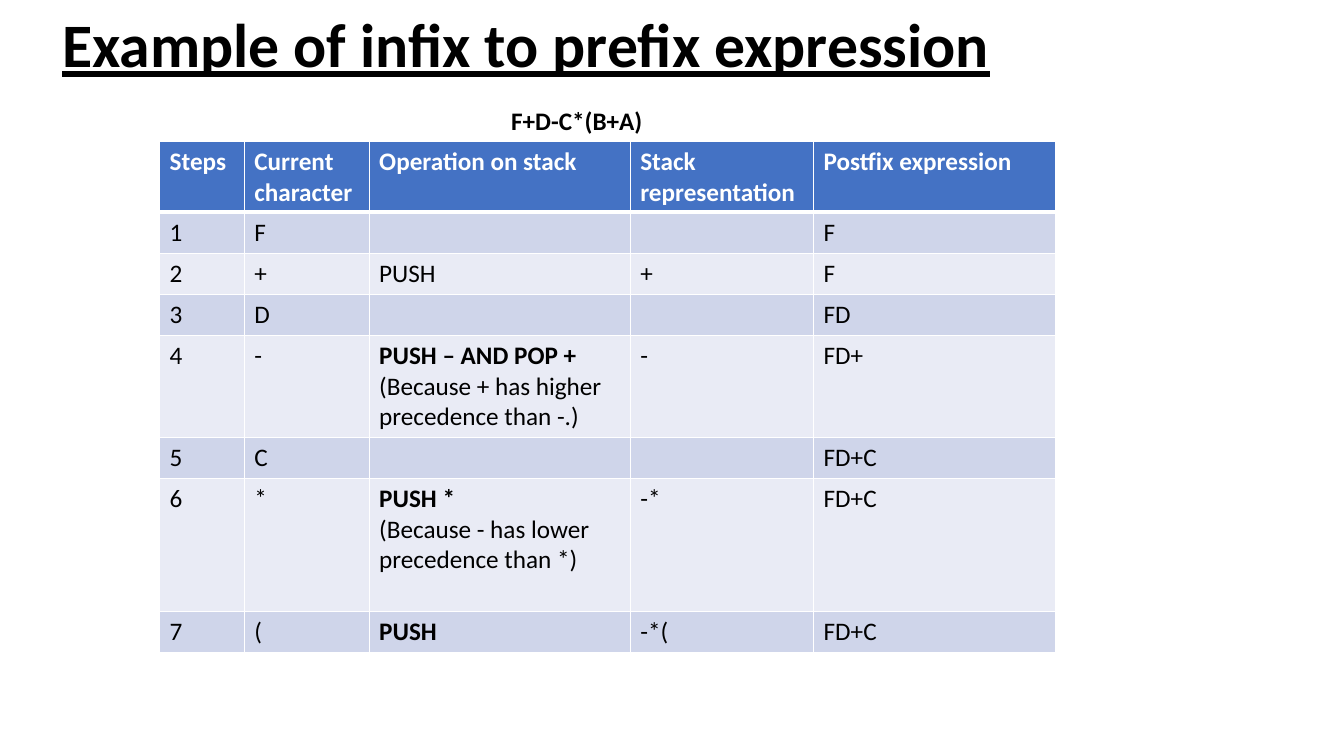
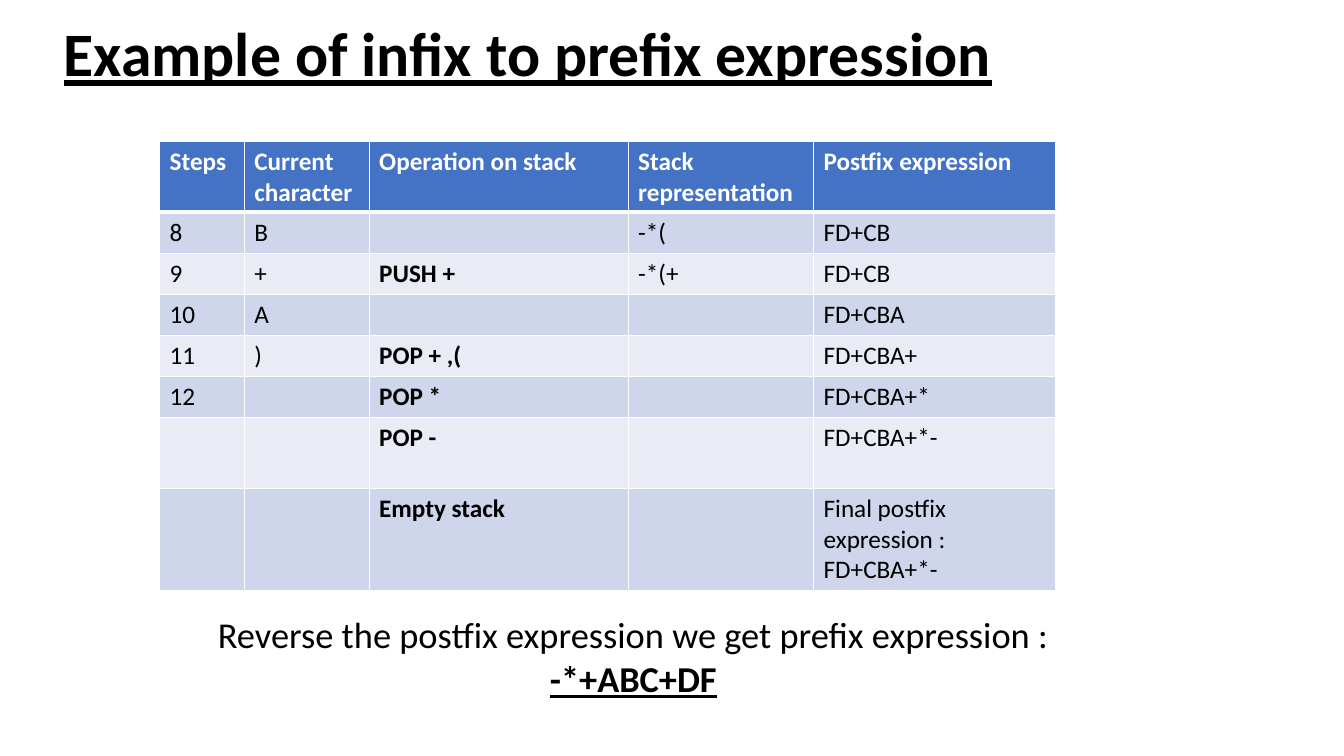
from dataclasses import dataclass

from lxml import etree
from pptx import Presentation
from pptx.dml.color import RGBColor
from pptx.enum.text import MSO_ANCHOR, PP_ALIGN
from pptx.oxml.ns import qn
from pptx.util import Pt

MIDDLE = MSO_ANCHOR.MIDDLE
LEFT, CENTER = PP_ALIGN.LEFT, PP_ALIGN.CENTER


@dataclass(frozen=True)
class Theme:
    font: str = "Calibri"
    ink: str = "000000"
    header_ink: str = "FFFFFF"
    header_fill: str = "4472C4"
    bands: tuple = ("CFD5EA", "E9EBF5")
    rule: str = "FFFFFF"
    title_size: float = 44.1
    closing_size: int = 26
    body_size: int = 18


THEME = Theme()

TITLE = "Example of infix to prefix expression"
HEADINGS = ("Steps", "Current character", "Operation on stack",
            "Stack representation", "Postfix expression")
HEADER_HEIGHT, ROW_HEIGHT = 50.7, 29.3

# Each step: steps, character, operation, stack, postfix.
# An operation given as a tuple has a bold first line.
FIRST_STEPS = (
    ("1", "F", "", "", "F"),
    ("2", "+", "PUSH", "+", "F"),
    ("3", "D", "", "", "FD"),
    ("4", "-", ("PUSH – AND POP +", "(Because + has higher precedence than -.)"),
     "-", "FD+"),
    ("5", "C", "", "", "FD+C"),
    ("6", "*", ("PUSH *", "(Because - has lower precedence than *)"),
     "-*", "FD+C"),
    ("7", "(", ("PUSH",), "-*(", "FD+C"),
)
LAST_STEPS = (
    ("8", "B", "", "-*(", "FD+CB"),
    ("9", "+", ("PUSH +",), "-*(+", "FD+CB"),
    ("10", "A", "", "", "FD+CBA"),
    ("11", ")", ("POP + ,(",), "", "FD+CBA+"),
    ("12", "", ("POP *",), "", "FD+CBA+*"),
    ("", "", ("POP -",), "", "FD+CBA+*-"),
    ("", "", ("Empty stack",), "", "Final postfix expression : FD+CBA+*-"),
)


def write_line(paragraph, text, size, color=THEME.ink, bold=False,
               underline=False, align=LEFT):
    paragraph.text = text
    paragraph.alignment = align
    font = paragraph.font
    font.name, font.size = THEME.font, Pt(size)
    font.bold, font.underline = bold, underline
    font.color.rgb = RGBColor.from_string(color)


def add_text_frame(slide, left, top, width, height):
    frame = slide.shapes.add_textbox(
        Pt(left), Pt(top), Pt(width), Pt(height)).text_frame
    frame.word_wrap = True
    return frame


def add_title(slide, left, top):
    frame = add_text_frame(slide, left, top, 828, 42)
    frame.vertical_anchor = MIDDLE
    heading = frame.paragraphs[0]
    write_line(heading, TITLE, THEME.title_size, bold=True, underline=True)
    heading.line_spacing = 0.9


def set_borders(cell, bottom_width):
    """Draw the four cell edges, which must precede the fill in the XML."""
    properties = cell._tc.get_or_add_tcPr()
    edges = (("L", 1), ("R", 1), ("T", 1), ("B", bottom_width))
    for position, (side, width) in enumerate(edges):
        edge = etree.Element(qn(f"a:ln{side}"), w=str(Pt(width)))
        fill = etree.SubElement(edge, qn("a:solidFill"))
        etree.SubElement(fill, qn("a:srgbClr"), val=THEME.rule)
        properties.insert(position, edge)


def fill_cell(cell, content, fill, color, bold=False, bottom_width=1):
    cell.fill.solid()
    cell.fill.fore_color.rgb = RGBColor.from_string(fill)
    set_borders(cell, bottom_width)
    emphasised = isinstance(content, tuple)
    lines = content if emphasised else (content,)
    frame = cell.text_frame
    for index, line in enumerate(lines):
        paragraph = frame.add_paragraph() if index else frame.paragraphs[0]
        write_line(paragraph, line, THEME.body_size, color,
                   bold or (emphasised and index == 0))


def add_steps_table(slide, steps, column_widths, tall_rows):
    """tall_rows maps a table row number to its own height."""
    heights = [HEADER_HEIGHT] + [tall_rows.get(number, ROW_HEIGHT)
                                 for number in range(1, len(steps) + 1)]
    table = slide.shapes.add_table(
        len(heights), len(HEADINGS), Pt(114), Pt(101),
        Pt(sum(column_widths)), Pt(sum(heights))).table
    for column, width in zip(table.columns, column_widths):
        column.width = Pt(width)
    for row, height in zip(table.rows, heights):
        row.height = Pt(height)

    # Header row
    for cell, heading in zip(table.rows[0].cells, HEADINGS):
        fill_cell(cell, heading, THEME.header_fill, THEME.header_ink,
                  bold=True, bottom_width=3)
    # Banded step rows
    for number, step in enumerate(steps):
        for cell, content in zip(table.rows[number + 1].cells, step):
            fill_cell(cell, content, THEME.bands[number % 2], THEME.ink)


def main():
    deck = Presentation()
    deck.slide_width, deck.slide_height = Pt(960), Pt(540)
    blank = deck.slide_layouts[6]

    # Steps 1 to 7, with the infix expression above the table
    opening = deck.slides.add_slide(blank)
    add_title(opening, 37.4, 13)
    add_steps_table(opening, FIRST_STEPS, (60.5, 89.2, 186.5, 131, 172.8),
                    {4: 72.9, 6: 95})
    infix = add_text_frame(opening, 185, 71.5, 454, 29)
    write_line(infix.paragraphs[0], "F+D-C*(B+A)", THEME.body_size,
               bold=True, align=CENTER)

    # Steps 8 to the end, with the prefix result below the table
    ending = deck.slides.add_slide(blank)
    add_title(ending, 38.4, 19.6)
    add_steps_table(ending, LAST_STEPS, (60.5, 89.2, 185, 132.5, 172.8),
                    {6: 50.7, 7: 72.9})
    closing = add_text_frame(ending, 101, 434, 703, 70.5)
    write_line(closing.paragraphs[0],
               "Reverse the postfix expression we get prefix expression :",
               THEME.closing_size, align=CENTER)
    write_line(closing.add_paragraph(), "-*+ABC+DF", THEME.closing_size,
               bold=True, underline=True, align=CENTER)

    deck.save("out.pptx")


if __name__ == "__main__":
    main()
